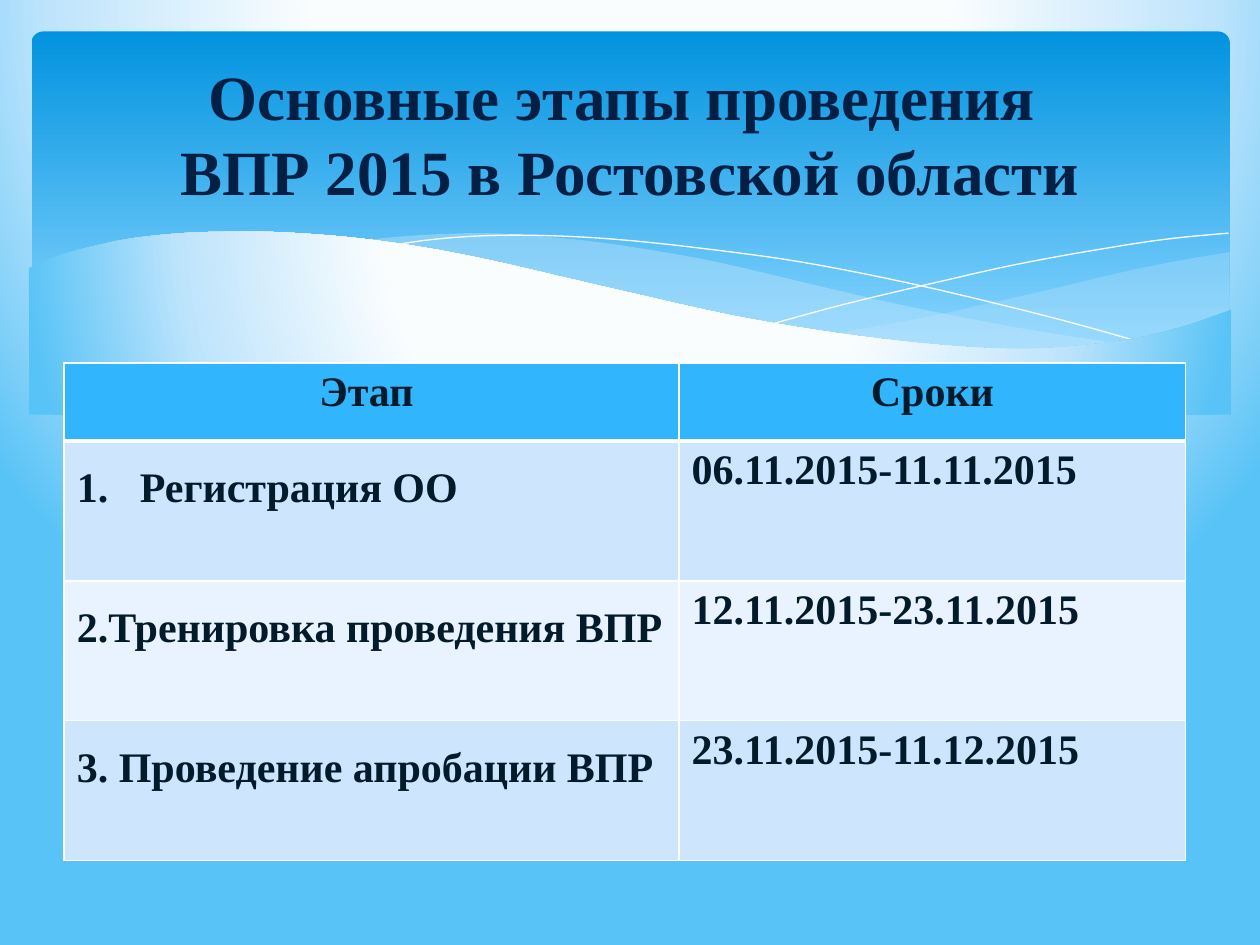
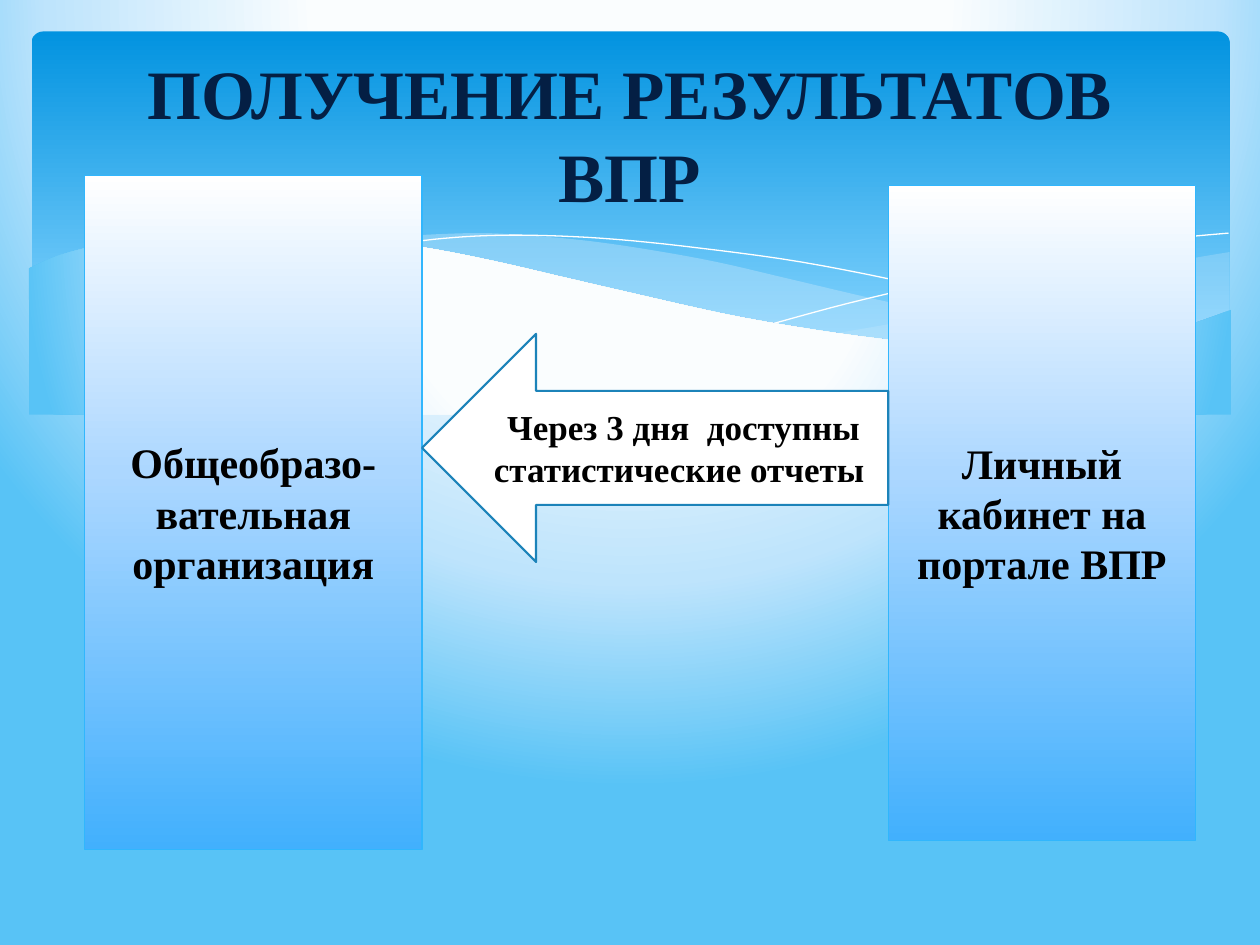
from dataclasses import dataclass

from lxml import etree
from pptx import Presentation
from pptx.dml.color import RGBColor
from pptx.enum.shapes import MSO_SHAPE
from pptx.enum.text import MSO_ANCHOR, MSO_AUTO_SIZE, PP_ALIGN
from pptx.oxml.ns import qn
from pptx.util import Inches, Pt

RECT, ROUND, ARROW = MSO_SHAPE.RECTANGLE, MSO_SHAPE.ROUNDED_RECTANGLE, MSO_SHAPE.LEFT_ARROW
TOP, MIDDLE = MSO_ANCHOR.TOP, MSO_ANCHOR.MIDDLE
LEFT, CENTER = PP_ALIGN.LEFT, PP_ALIGN.CENTER
NO_FIT = MSO_AUTO_SIZE.NONE


@dataclass(frozen=True)
class Theme:
    """Colours, gradients and type sizes of the deck."""
    font: str = "Times New Roman"
    navy: str = "041F44"
    ink: str = "021B2B"
    black: str = "000000"
    white: str = "FFFFFF"
    sky: str = "31B6FD"
    edge: str = "1C83B9"
    mist: str = "C6E7FC"
    rows: tuple = ("CEE5FE", "E8F3FF")
    glow: tuple = ((40, "FAFDFE"), (74, "BEE4FC"), (100, "58C3F6"))
    band: tuple = ((0, "0293E0"), (90, "83D3FE"))
    box: tuple = ((0, "FFFFFF"), (44, "ACD7FF"), (100, "42B0FD"))
    body: float = 24
    note: float = 20


T = Theme()

# Content
STAGES = {
    "title": "Основные этапы проведения \vВПР 2015 в Ростовской области",
    "size": 36,
    "head": ("Этап ", "Сроки"),
    "rows": [
        ("Регистрация ОО", "06.11.2015-11.11.2015"),
        ("2.Тренировка проведения ВПР", "12.11.2015-23.11.2015"),
        ("3. Проведение апробации ВПР", "23.11.2015-11.12.2015"),
    ],
}
RESULTS = {
    "title": "ПОЛУЧЕНИЕ РЕЗУЛЬТАТОВ ВПР",
    "size": 39.6,
    "boxes": [
        ("Общеобразо-\nвательная организация", (0.67, 1.39, 2.68, 5.35)),
        ("Личный кабинет на портале ВПР", (7.05, 1.47, 2.44, 5.2)),
    ],
    "arrow": ("Через 3 дня  доступны статистические отчеты ", (3.35, 2.65, 3.7, 1.81)),
}

# Waves under the title: each curve runs smoothly through its knots
RIGHT = [
    [(9.76, 2), (9.35, 2.07), (8.91, 2.16), (8.32, 2.3), (7.79, 2.42), (7.29, 2.53),
     (6.61, 2.65)],
    [(6.61, 2.65), (7.05, 2.71), (7.57, 2.76), (8.03, 2.78), (8.54, 2.76), (8.97, 2.7),
     (9.35, 2.62), (9.76, 2.47)],
]
LONG = [
    [(8.93, 2.73), (8.37, 2.65), (7.75, 2.54), (7.06, 2.4), (6.29, 2.22), (5.69, 2.08),
     (5.14, 1.98), (4.65, 1.91), (4.2, 1.87), (3.8, 1.85), (3.28, 1.87), (2.86, 1.91)],
    [(2.86, 1.91), (3.42, 1.99), (4.04, 2.11), (4.49, 2.22), (5.3, 2.4), (6.01, 2.55),
     (6.65, 2.66), (7.22, 2.74), (7.73, 2.77), (8.18, 2.78), (8.57, 2.77), (8.93, 2.73)],
]
FALL = [[(3.09, 1.95), (3.44, 1.9), (3.87, 1.87), (4.33, 1.87), (4.89, 1.9), (5.56, 1.97),
         (6.36, 2.08), (7.27, 2.26), (8.31, 2.51), (9.07, 2.72)]]
RISE = [[(6.13, 2.57), (6.72, 2.41), (7.48, 2.23), (8.06, 2.1), (8.66, 1.99), (9.24, 1.9),
         (9.75, 1.85)]]
FRONT = [
    [(9.77, 2.46), (9.4, 2.59), (8.99, 2.69), (8.5, 2.75), (8.09, 2.77), (7.61, 2.75),
     (7.08, 2.7), (6.48, 2.62), (5.79, 2.5), (5.03, 2.33), (4.47, 2.2), (3.91, 2.07),
     (3.4, 1.97), (2.92, 1.9), (2.5, 1.86), (2.11, 1.84), (1.77, 1.84), (1.46, 1.85),
     (1.06, 1.89), (0.76, 1.95), (0.46, 2.03), (0.23, 2.13)],
    [(0.23, 3.29), (9.77, 3.29)],
]


def rgb(code):
    """Return the colour for a hex code."""
    return RGBColor.from_string(code)


def add(parent, tag, **attrs):
    """Append a DrawingML element and return it."""
    return etree.SubElement(parent, qn("a:" + tag), {k: str(v) for k, v in attrs.items()})


def blend(fill, host, stops, radial=False):
    """Fill with gradient stops, from the top down or round a centre."""
    fill.gradient()
    grad = host.find(".//" + qn("a:gradFill"))
    grad.clear()
    stop_list = add(grad, "gsLst")
    for place, code in stops:
        add(add(stop_list, "gs", pos=place * 1000), "srgbClr", val=code)
    if radial:
        add(add(grad, "path", path="circle"), "fillToRect",
            l=20000, t=-40000, r=20000, b=140000)
    else:
        add(grad, "lin", ang=5400000, scaled=0)


def outline(shape, code=None, width=0):
    """Drop the shadow and set or remove the line."""
    shape.shadow.inherit = False
    if code:
        shape.line.color.rgb = rgb(code)
        shape.line.width = Pt(width)
    else:
        shape.line.fill.background()


def write(frame, text, size, color, align=CENTER):
    """Put bold text in a frame, one paragraph per line."""
    frame.text = text
    for para in frame.paragraphs:
        para.alignment = align
        font = para.font
        font.name, font.size, font.bold = T.font, Pt(size), True
        font.color.rgb = rgb(color)


def smooth(knots, steps=5):
    """Return points in EMU on a Catmull-Rom curve through the knots."""
    if len(knots) < 3:
        return [(Inches(x), Inches(y)) for x, y in knots]
    ends = [knots[0], *knots, knots[-1]]
    points = []
    for quad in zip(ends, ends[1:], ends[2:], ends[3:]):
        for step in range(steps):
            t = step / steps
            points.append(tuple(
                Inches(b + t * (c - a) / 2 + t * t * (a - 2.5 * b + 2 * c - d / 2)
                       + t ** 3 * (1.5 * (b - c) + (d - a) / 2))
                for a, b, c, d in zip(*quad)))
    return points + [tuple(Inches(v) for v in knots[-1])]


def wave(slide, curves, closed=True):
    """Draw curves joined end to end as one freeform."""
    points = [point for knots in curves for point in smooth(knots)]
    pen = slide.shapes.build_freeform(*points[0])
    pen.add_line_segments(points[1:], close=closed)
    shape = pen.convert_to_shape()
    outline(shape)
    return shape


def backdrop(slide, layout):
    """Draw the title band with its waves and move it to the layout."""
    blend(layout.background.fill, layout.element, T.glow, radial=True)
    band = slide.shapes.add_shape(
        ROUND, Inches(0.25), Inches(0.25), Inches(9.51), Inches(2.7))
    band.adjustments[0] = 0.034
    outline(band)
    blend(band.fill, band.element, T.band)
    parts = [band]
    for curves, alpha in ((RIGHT, 29), (LONG, 40)):
        veil = wave(slide, curves)
        veil.fill.solid()
        veil.fill.fore_color.rgb = rgb(T.mist)
        add(veil.element.spPr.find(".//" + qn("a:srgbClr")), "alpha", val=alpha * 1000)
        parts.append(veil)
    for curves in (FALL, RISE):
        thread = wave(slide, curves, closed=False)
        thread.fill.background()
        outline(thread, T.white)
        parts.append(thread)
    front = wave(slide, FRONT)
    blend(front.fill, front.element, T.glow, radial=True)
    parts.append(front)
    for i, part in enumerate(parts):
        part.element.nvSpPr.cNvPr.set("id", str(20 + i))
        layout.shapes.element.insert(2 + i, part.element)


def heading(slide, data):
    """Place and style the slide title."""
    title = slide.shapes.title
    title.left, title.top = Inches(0.5), Inches(0.37)
    title.width, title.height = Inches(9), Inches(1.37)
    frame = title.text_frame
    write(frame, data["title"], data["size"], T.navy)
    frame.word_wrap, frame.auto_size = True, NO_FIT
    frame.vertical_anchor = MIDDLE


def borders(cell, top, bottom):
    """Give a cell white borders, in points."""
    props = cell._tc.get_or_add_tcPr()
    widths = {"lnL": 1, "lnR": 1, "lnT": top, "lnB": bottom}
    for i, (tag, width) in enumerate(widths.items()):
        line = add(props, tag, w=Pt(width))
        add(add(line, "solidFill"), "srgbClr", val=T.white)
        props.insert(i, line)


def number(para):
    """Number a paragraph with a hanging indent."""
    props = para._p.get_or_add_pPr()
    props.set("marL", str(Inches(0.5)))
    props.set("indent", str(-Inches(0.5)))
    props.insert(0, add(props, "buAutoNum", type="arabicPeriod"))


def schedule(slide, data):
    """Build the table of stages and dates."""
    lines = [data["head"], *data["rows"]]
    widths, heights = (4.88, 4.02), [0.62] + [1.11] * len(data["rows"])
    table = slide.shapes.add_table(
        len(lines), len(widths), Inches(0.51), Inches(2.88),
        Inches(sum(widths)), Inches(sum(heights))).table
    for col, width in zip(table.columns, widths):
        col.width = Inches(width)
    for r, (line, height) in enumerate(zip(lines, heights)):
        table.rows[r].height = Inches(height)
        for c, text in enumerate(line):
            cell = table.cell(r, c)
            write(cell.text_frame, text, T.body, T.ink, LEFT if r else CENTER)
            stage = r > 0 and c == 0
            cell.vertical_anchor = MIDDLE if stage else TOP
            if stage:
                cell.margin_bottom = Inches(0.41)
            cell.fill.solid()
            cell.fill.fore_color.rgb = rgb(T.rows[(r - 1) % 2] if r else T.sky)
            borders(cell, 3 if r == 1 else 1, 1 if r else 3)
    number(table.cell(1, 0).text_frame.paragraphs[0])


def block(slide, kind, text, place, size):
    """Add a shape with centred black text."""
    shape = slide.shapes.add_shape(kind, *map(Inches, place))
    write(shape.text_frame, text, size, T.black)
    shape.text_frame.word_wrap = True
    shape.text_frame.vertical_anchor = MIDDLE
    return shape


def exchange(slide, data):
    """Draw the two parties and the arrow between them."""
    for text, place in data["boxes"]:
        box = block(slide, RECT, text, place, T.body)
        outline(box, T.sky, 0.75)
        blend(box.fill, box.element, T.box)
    arrow = block(slide, ARROW, *data["arrow"], T.note)
    outline(arrow, T.edge, 1.25)
    arrow.fill.solid()
    arrow.fill.fore_color.rgb = rgb(T.white)


def main():
    """Build and save the deck."""
    deck = Presentation()
    deck.slide_width, deck.slide_height = Inches(10), Inches(7.5)
    layout = deck.slide_layouts[5]
    for data, draw in ((STAGES, schedule), (RESULTS, exchange)):
        slide = deck.slides.add_slide(layout)
        if len(deck.slides) == 1:
            backdrop(slide, layout)
        heading(slide, data)
        draw(slide, data)
    deck.save("out.pptx")


main()
